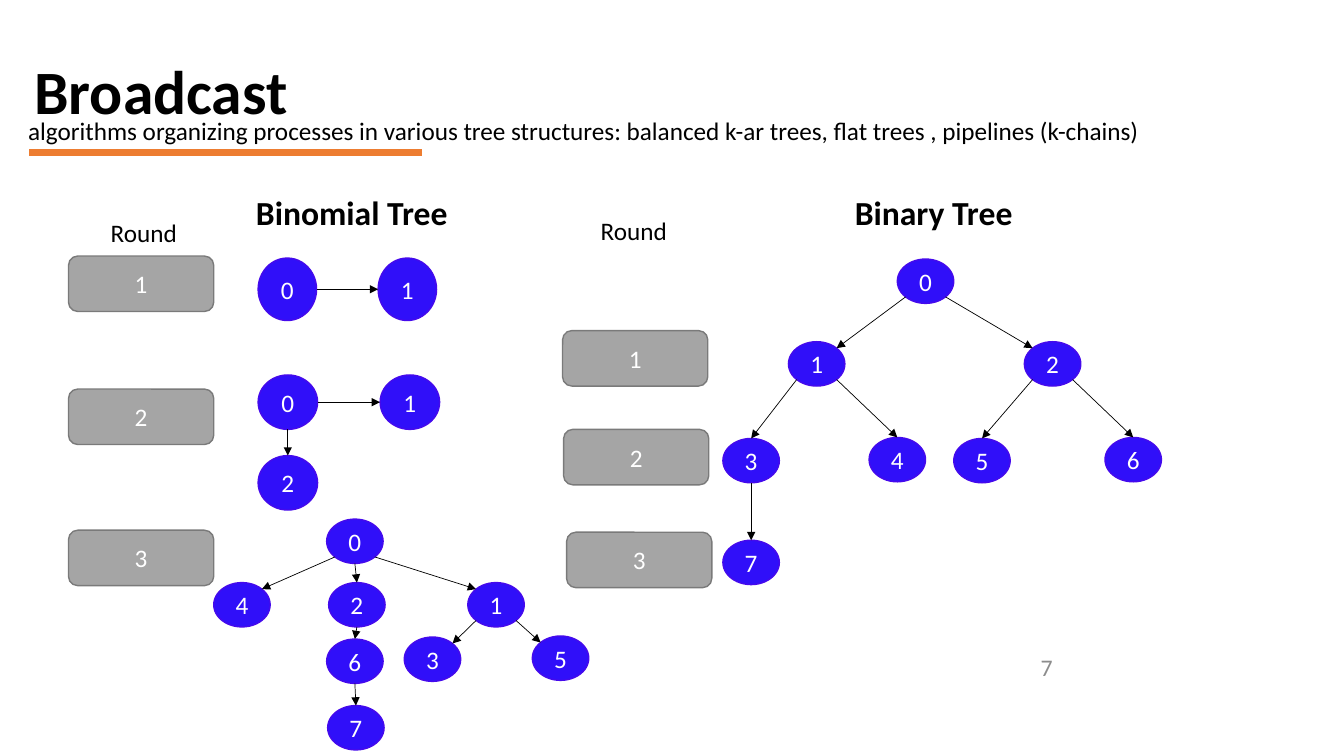
from lxml import etree
from pptx import Presentation
from pptx.dml.color import RGBColor
from pptx.enum import shapes, text
from pptx.oxml.ns import qn
from pptx.util import Inches, Pt

BLACK = RGBColor(0, 0, 0)
WHITE = RGBColor(255, 255, 255)
GRAY = RGBColor(0xA5, 0xA5, 0xA5)
EDGE = RGBColor(0x7A, 0x7A, 0x7A)
BLUE = RGBColor(0x30, 0x0F, 0xF9)
RIM = RGBColor(0x45, 0x0A, 0xEC)
ORANGE = RGBColor(0xED, 0x7D, 0x31)
PALE = RGBColor(0x8C, 0x8C, 0x8C)

KIND = shapes.MSO_SHAPE
ALIGN = text.PP_ALIGN
MIDDLE = text.MSO_ANCHOR.MIDDLE
SMALL = (0.56, 0.44)
DIAG = 0.3536
PORTS = {"n": (0, -0.5), "s": (0, 0.5), "e": (0.5, 0), "w": (-0.5, 0),
         "ne": (DIAG, -DIAG), "nw": (-DIAG, -DIAG),
         "se": (DIAG, DIAG), "sw": (-DIAG, DIAG)}

TREES = [
    ((0.58, 0.62), {0: (2.56, 2.56), 1: (3.75, 2.56)},
     [(0, "e", 1, "w")]),
    ((0.59, 0.54), {0: (2.56, 3.72), 1: (3.77, 3.72), 2: (2.56, 4.52)},
     [(0, "e", 1, "w"), (0, "s", 2, "n")]),
    (SMALL, {0: (3.24, 5.15), 1: (4.64, 5.78), 2: (3.26, 5.78),
             4: (2.12, 5.78), 3: (4.01, 6.32), 5: (5.28, 6.31),
             6: (3.24, 6.34), 7: (3.25, 7)},
     [(0, "sw", 4, "ne"), (0, "s", 2, "n"), (0, "se", 1, "nw"),
      (2, "s", 6, "n"), (1, "sw", 3, "ne"), (1, "se", 5, "nw"),
      (6, "s", 7, "n")]),
    (SMALL, {0: (8.9, 2.57), 1: (7.82, 3.39), 2: (10.16, 3.39),
             3: (7.17, 4.35), 4: (8.62, 4.34), 5: (9.46, 4.35),
             6: (10.96, 4.34), 7: (7.17, 5.36)},
     [(0, "sw", 1, "ne"), (0, "se", 2, "nw"), (1, "sw", 3, "n"),
      (1, "se", 4, "n"), (2, "sw", 5, "n"), (2, "se", 6, "n"),
      (3, "s", 7, "n")]),
]
ROUNDS = [
    ((1, 2.11), [(0.68, 2.54), (0.68, 3.86), (0.68, 5.26)]),
    ((5.86, 2.09), [(5.58, 3.28), (5.59, 4.26), (5.62, 5.28)]),
]


def style(item, **values):
    for name, value in values.items():
        setattr(item, name, value)


def write(frame, words, size, color, bold=False, **para):
    line = frame.paragraphs[0]
    style(line, **para)
    run = line.add_run()
    run.text = words
    style(run.font, name="Calibri", size=Pt(size), bold=bold)
    run.font.color.rgb = color


def label(slide, box, words, size, color=BLACK, bold=False, wrap=False,
          anchor=text.MSO_ANCHOR.TOP, **para):
    frame = slide.shapes.add_textbox(*map(Inches, box)).text_frame
    style(frame, word_wrap=wrap, vertical_anchor=anchor)
    write(frame, words, size, color, bold, **para)


def block(slide, kind, spot, size, words, fill, edge):
    shape = slide.shapes.add_shape(kind, *map(Inches, spot + size))
    shape.shadow.inherit = False
    shape.fill.solid()
    shape.fill.fore_color.rgb = fill
    shape.line.color.rgb = edge
    shape.line.width = Pt(1)
    shape.text_frame.vertical_anchor = MIDDLE
    write(shape.text_frame, words, 18, WHITE, alignment=ALIGN.CENTER)


def rule(slide, start, end, color, width, arrow=False):
    line = slide.shapes.add_connector(
        shapes.MSO_CONNECTOR.STRAIGHT, *map(Inches, start + end))
    line.line.color.rgb = color
    line.line.width = Pt(width)
    if arrow:
        etree.SubElement(line.line._get_or_add_ln(), qn("a:tailEnd"),
                         type="triangle")
    etree.SubElement(line._element.spPr, qn("a:effectLst"))


def port(spot, size, side):
    return tuple(start + length * (0.5 + shift) for start, length, shift
                 in zip(spot, size, PORTS[side]))


def tree(slide, size, nodes, links):
    for name, spot in nodes.items():
        block(slide, KIND.FLOWCHART_CONNECTOR, spot, size, str(name),
              BLUE, RIM)
    for head, out, child, into in links:
        rule(slide, port(nodes[head], size, out),
             port(nodes[child], size, into), BLACK, 0.5, True)


def rounds(slide, spot, boxes):
    label(slide, spot + (0.87, 0.4), "Round", 18)
    for count, place in enumerate(boxes, 1):
        block(slide, KIND.ROUNDED_RECTANGLE, place, (1.44, 0.55),
              str(count), GRAY, EDGE)


def main():
    deck = Presentation()
    style(deck, slide_width=Inches(13.33), slide_height=Inches(7.5))
    slide = deck.slides.add_slide(deck.slide_layouts[5])

    title = slide.shapes.title
    style(title, left=Inches(0.24), top=Inches(0.39),
          width=Inches(11.49), height=Inches(1.1))
    title.text_frame.vertical_anchor = MIDDLE
    write(title.text_frame, "Broadcast", 44, BLACK, True,
          alignment=ALIGN.LEFT, line_spacing=0.9)

    rule(slide, (0.29, 1.51), (4.19, 1.51), ORANGE, 5)
    label(slide, (0.18, 1.09, 11.82, 0.4),
          "algorithms organizing processes in various tree structures: "
          "balanced k-ar trees, flat trees , pipelines (k-chains)", 18)
    label(slide, (2.44, 1.85, 2.12, 0.5), "Binomial Tree", 24, bold=True,
          space_after=Pt(6))
    label(slide, (8.38, 1.85, 1.78, 0.5), "Binary Tree", 24, bold=True,
          space_after=Pt(6))
    for spot, boxes in ROUNDS:
        rounds(slide, spot, boxes)
    for size, nodes, links in TREES:
        tree(slide, size, nodes, links)
    label(slide, (8.38, 6.47, 2.16, 0.29), "7", 17, PALE, wrap=True,
          anchor=MIDDLE, alignment=ALIGN.RIGHT, space_after=Pt(6))

    deck.save("out.pptx")


if __name__ == "__main__":
    main()
